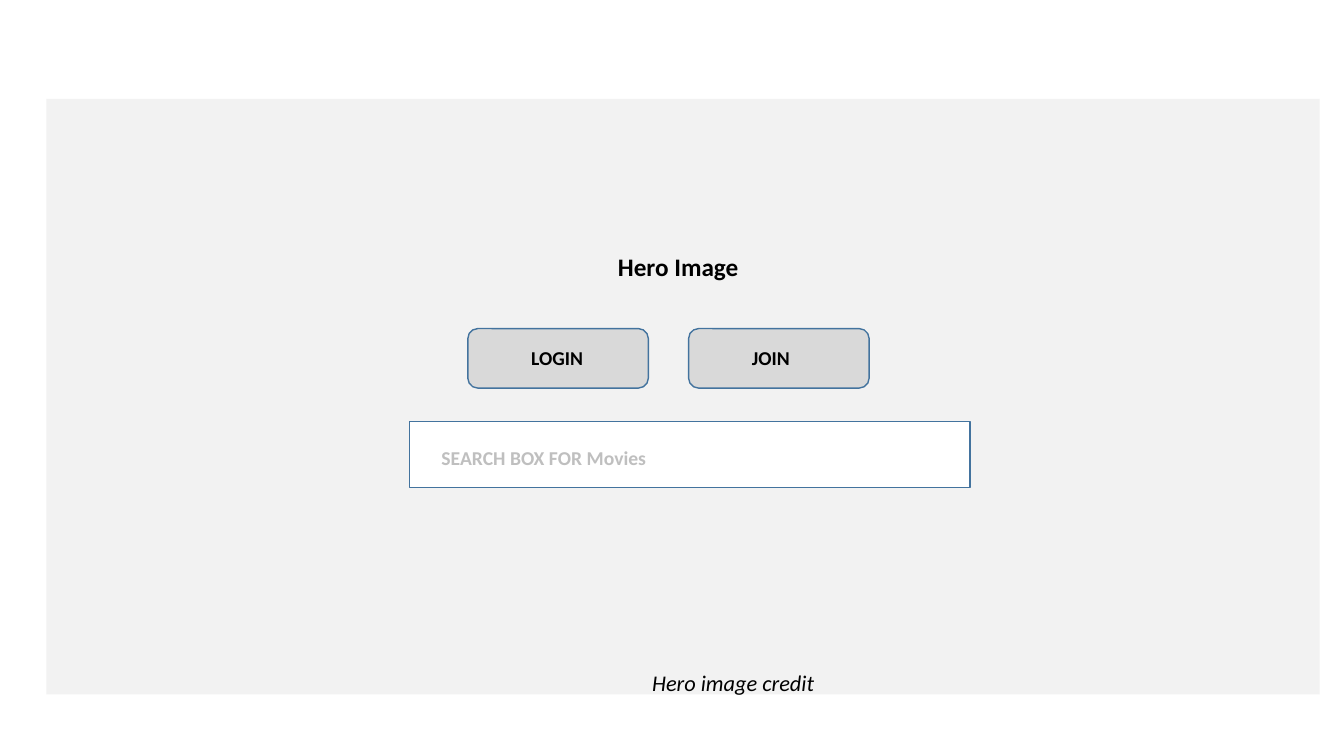
from pptx import Presentation
from pptx.dml.color import RGBColor
from pptx.enum.shapes import MSO_SHAPE as Form
from pptx.enum.text import MSO_AUTO_SIZE as Fit
from pptx.util import Inches, Pt

WIDE, HIGH = 13.33, 7.5
BLACK, WHITE, BLUE = "000000", "FFFFFF", "43739E"
PANEL, BUTTON, HINT = "F2F2F2", "D9D9D9", "BFBFBF"


def color(code):
    """Turn a hex string into a colour."""
    return RGBColor.from_string(code)


def box(slide, form, place, fill, line=None):
    """Draw a filled shape, outlined if a line colour is given."""
    shape = slide.shapes.add_shape(form, *map(Inches, place))
    shape.shadow.inherit = False
    shape.fill.solid()
    shape.fill.fore_color.rgb = color(fill)
    if line:
        shape.line.color.rgb = color(line)
        shape.line.width = Pt(1)
    else:
        shape.line.fill.background()


def label(slide, text, place, size, ink=BLACK, bold=True, wrap=False):
    """Write one line of text, bold or else italic."""
    frame = slide.shapes.add_textbox(*map(Inches, place)).text_frame
    frame.text = text
    frame.word_wrap = wrap
    frame.auto_size = Fit.SHAPE_TO_FIT_TEXT
    font = frame.paragraphs[0].runs[0].font
    font.name, font.size = "Calibri", Pt(size)
    font.bold, font.italic = bold, not bold
    font.color.rgb = color(ink)


def button(slide, text, left, width):
    """Draw a rounded button with its caption."""
    top = 3.26
    box(slide, Form.ROUNDED_RECTANGLE, (left, top, 1.79, 0.59), BUTTON, BLUE)
    label(slide, text, (left + 0.53, top + 0.12, width, 0.34), 14)


def search(slide, text, left, top):
    """Draw the search field with its hint."""
    box(slide, Form.RECTANGLE, (left, top, 5.56, 0.66), WHITE, BLUE)
    label(slide, text, (left + 0.22, top + 0.19, 2.63, 0.34), 14, HINT, wrap=True)


def main():
    """Build and save the slide."""
    deck = Presentation()
    deck.slide_width, deck.slide_height = Inches(WIDE), Inches(HIGH)
    slide = deck.slides.add_slide(deck.slide_layouts[6])
    box(slide, Form.RECTANGLE, (0.46, 0.98, 12.63, 5.91), PANEL)
    label(slide, "Hero Image", (6.03, 2.44, 1.41, 0.4), 18)
    for col, (text, width) in enumerate([("LOGIN", 0.72), ("JOIN", 0.58)]):
        button(slide, text, 4.64 + col * 2.19, width)
    search(slide, "SEARCH BOX FOR Movies", 4.06, 4.18)
    label(slide, "Hero image credit", (6.37, 6.59, 1.83, 0.37), 16, bold=False)
    deck.save("out.pptx")


main()
